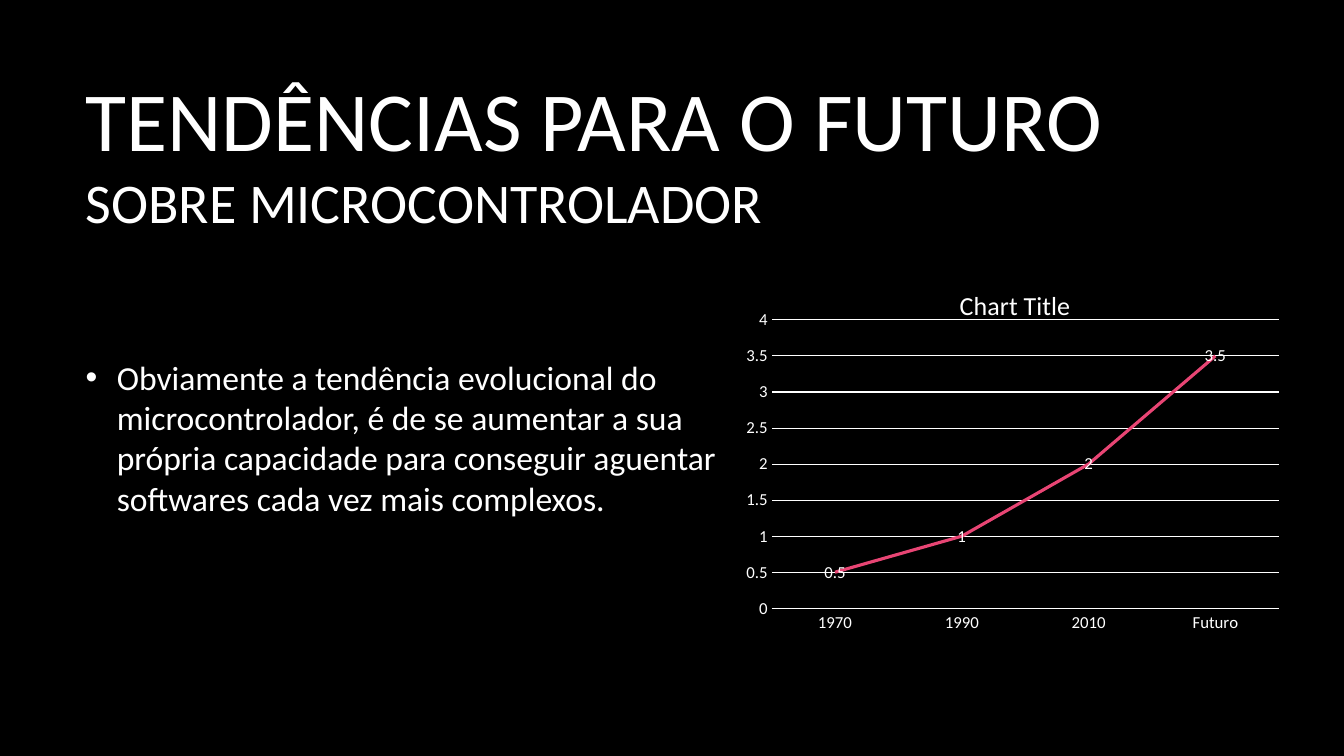
import pptx
import pptx.chart.data
import pptx.dml.color
import pptx.enum.chart
import pptx.enum.text
import pptx.oxml
import pptx.oxml.ns
import pptx.util

COLORS = {"ground": "000000", "ink": "FFFFFF", "Series 1": "E84574",
          "Series 2": "798FF2", "Series 3": "95C369"}
FONT = "Calibri"
COLUMNS, ROWS = 160, 90


class TrendSlide:
    """Holds the style and the current slide, and places elements on its grid."""

    def __init__(self, deck):
        self.column = deck.slide_width / COLUMNS
        self.row = deck.slide_height / ROWS
        self.slide = deck.slides.add_slide(deck.slide_layouts[6])
        ground = self.slide.background.fill
        ground.solid()
        ground.fore_color.rgb = self.color("ground")

    def color(self, name):
        return pptx.dml.color.RGBColor.from_string(COLORS[name])

    def place(self, left, top, width, height):
        return [round(left * self.column), round(top * self.row),
                round(width * self.column), round(height * self.row)]

    def apply(self, target, **values):
        for key, value in values.items():
            setattr(target, key, value)

    def style_font(self, font, size):
        self.apply(font, name=FONT, size=pptx.util.Pt(size), bold=False)
        font.color.rgb = self.color("ink")

    def style_line(self, line, name, width):
        line.color.rgb = self.color(name)
        line.width = pptx.util.Pt(width)

    def text(self, area, lines, **frame_format):
        frame = self.slide.shapes.add_textbox(*self.place(*area)).text_frame
        self.apply(frame, word_wrap=True,
                   vertical_anchor=pptx.enum.text.MSO_ANCHOR.MIDDLE, **frame_format)
        paragraph = frame.paragraphs[0]
        for index, (wording, size) in enumerate(lines):
            if index:
                paragraph.add_line_break()
            run = paragraph.add_run()
            run.text = wording
            self.style_font(run.font, size)
        return paragraph

    def bullet(self, paragraph, indent):
        paragraph.space_after = pptx.util.Pt(10)
        properties = paragraph._p.get_or_add_pPr()
        hang = pptx.util.Inches(indent)
        for key, value in {"marL": hang, "indent": -hang}.items():
            properties.set(key, str(value))
        namespace = pptx.oxml.ns.nsdecls("a")
        for markup in (
            f'<a:buClr {namespace}><a:srgbClr val="{COLORS["ink"]}"/></a:buClr>',
            f'<a:buFont {namespace} typeface="Arial"/>',
            f'<a:buChar {namespace} char="•"/>',
        ):
            properties.append(pptx.oxml.parse_xml(markup))

    def layout(self, **shares):
        values = "".join(f'<c:{key} val="{value}"/>' for key, value in shares.items())
        return pptx.oxml.parse_xml(
            f'<c:layout {pptx.oxml.ns.nsdecls("c")}><c:manualLayout>'
            f'{values}</c:manualLayout></c:layout>')

    def line_chart(self, area, heading, years, trends):
        data = pptx.chart.data.CategoryChartData()
        data.categories = years
        for name, values in trends.items():
            data.add_series(name, values)
        chart = self.slide.shapes.add_chart(
            pptx.enum.chart.XL_CHART_TYPE.LINE, *self.place(*area), data).chart
        self.apply(chart, has_legend=False, has_title=True)
        self.style_font(chart.font, 10)
        self.heading(chart.chart_title, heading)
        self.axes(chart)
        self.series(chart.plots[0])
        plot_area = chart.plots[0]._element.getparent()
        for old in plot_area.findall(pptx.oxml.ns.qn("c:layout")):
            plot_area.remove(old)
        plot_area.insert(0, self.layout(
            layoutTarget="inner", xMode="edge", yMode="edge",
            x=0.06, y=0.15, w=0.94, h=0.77))

    def heading(self, title, wording):
        title.text_frame.text = wording
        self.style_font(title.text_frame.paragraphs[0].runs[0].font, 18.6)
        title.include_in_layout = False
        element = title._element
        for old in element.findall(pptx.oxml.ns.qn("c:layout")):
            element.remove(old)
        element.insert(1, self.layout(xMode="edge", yMode="edge", x=0.4, y=0.05))

    def axes(self, chart):
        no_tick = pptx.enum.chart.XL_TICK_MARK.NONE
        years, amounts = chart.category_axis, chart.value_axis
        for axis in (years, amounts):
            self.apply(axis, major_tick_mark=no_tick, minor_tick_mark=no_tick)
            self.style_font(axis.tick_labels.font, 12)
        self.apply(amounts, minimum_scale=0, maximum_scale=4, major_unit=0.5)
        self.style_line(years.format.line, "ink", 0.75)
        self.style_line(amounts.major_gridlines.format.line, "ink", 0.75)
        amounts.format.line.fill.background()

    def series(self, plot):
        plot.vary_by_categories = False
        for trend in plot.series:
            trend.smooth = False
            trend.marker.style = pptx.enum.chart.XL_MARKER_STYLE.NONE
            self.style_line(trend.format.line, trend.name, 2.25)
            self.apply(trend.data_labels, show_value=True,
                       position=pptx.enum.chart.XL_LABEL_POSITION.CENTER)
            self.style_font(trend.data_labels.font, 12)


def main():
    deck = pptx.Presentation()
    deck.slide_width = pptx.util.Inches(13.33)
    deck.slide_height = pptx.util.Inches(7.5)
    future = TrendSlide(deck)
    future.text((9, 8, 133, 19.1),
                [("TENDÊNCIAS PARA O FUTURO ", 60), ("SOBRE MICROCONTROLADOR", 40)],
                margin_top=pptx.util.Inches(0.12))
    outlook = future.text((9, 28.1, 82.1, 47.9), [(
        "Obviamente a tendência evolucional do microcontrolador, é de se aumentar "
        "a sua própria capacidade para conseguir aguentar softwares cada vez mais "
        "complexos.", 24)])
    future.bullet(outlook, 0.31)
    future.line_chart((88, 31.4, 64.3, 44.6), "Chart Title",
                      ["1970", "1990", "2010", "Futuro"],
                      {"Series 1": [0.5, 1, 2, 3.5],
                       "Series 2": [None] * 4, "Series 3": [None] * 4})
    deck.save("out.pptx")


if __name__ == "__main__":
    main()
